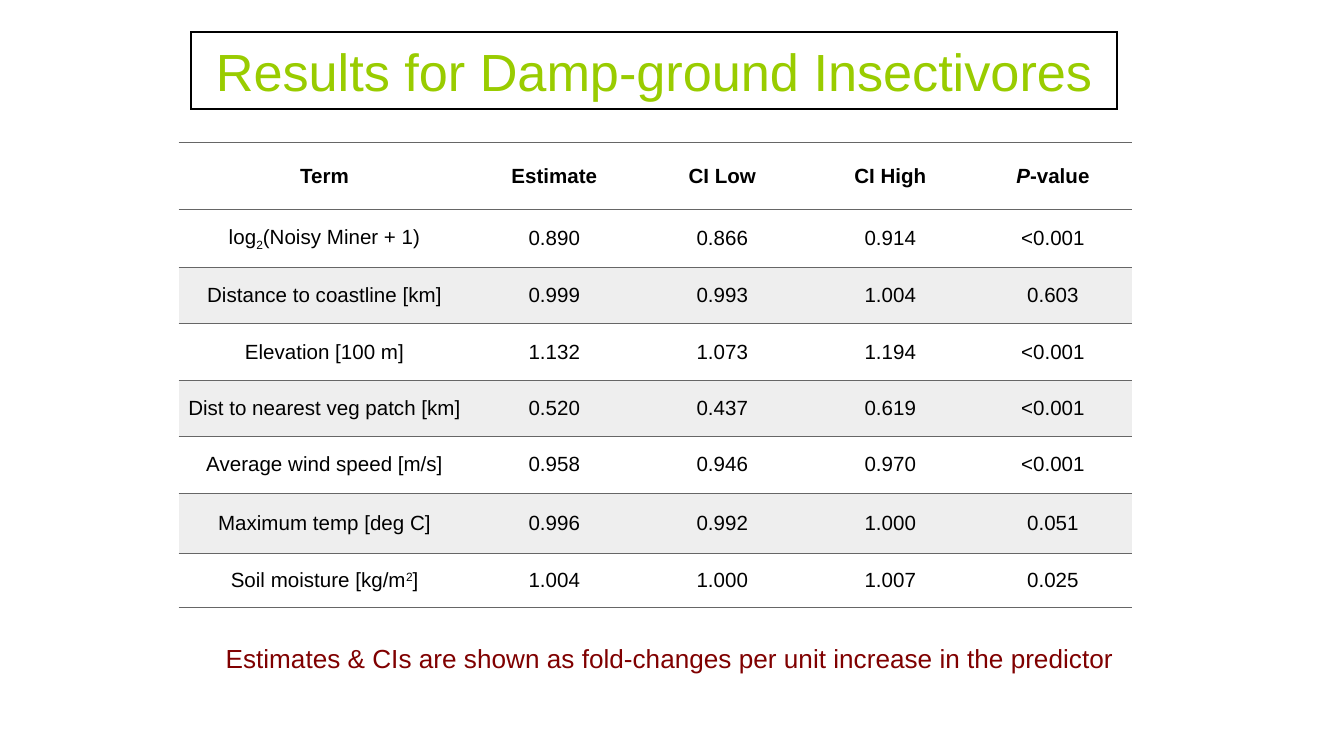
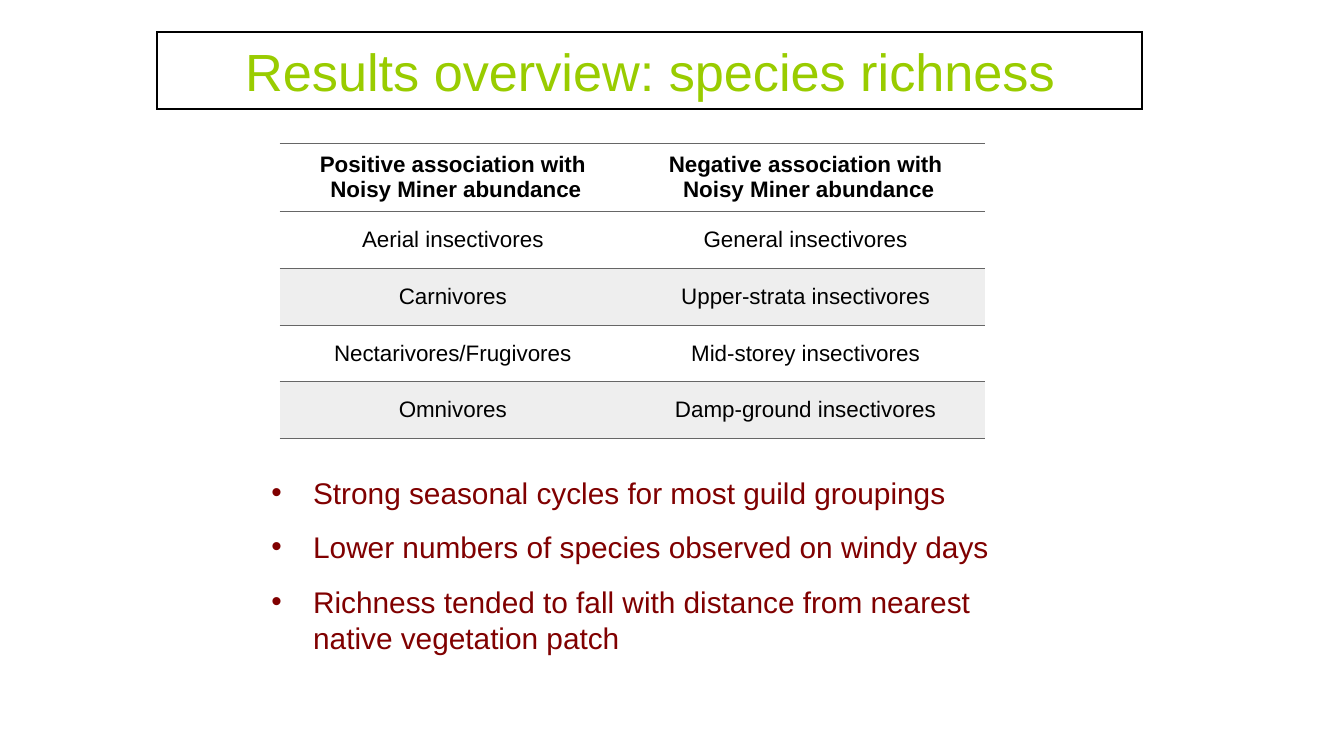
from copy import deepcopy

from lxml import etree
from pptx import Presentation
from pptx import util as u
from pptx.dml.color import RGBColor
from pptx.enum import text
from pptx.oxml.ns import qn

GREEN, MAROON, BLACK = "99CC00", "800000", "000000"
RULE, BAND = "666666", "EEEEEE"
TITLE_ONLY, TITLE_AND_CONTENT = 5, 1
SUB, SUP = -25000, 30000


def rgb(value):
    return RGBColor.from_string(value)


class Deck:
    font = "Arial"
    row_heights = (0.5, 0.43, 0.42, 0.42, 0.42, 0.42, 0.45, 0.4)

    def __init__(self):
        self.prs = Presentation()
        self.prs.slide_width = u.Inches(10)
        self.prs.slide_height = u.Inches(10) * 9 // 16

    def slide(self, layout):
        self.s = self.prs.slides.add_slide(self.prs.slide_layouts[layout])

    def place(self, sp, x, y, w, h):
        sp.left, sp.top = u.Inches(x), u.Inches(y)
        sp.width, sp.height = u.Inches(w), u.Inches(h)
        sp.text_frame.word_wrap = True
        sp.text_frame.auto_size = text.MSO_AUTO_SIZE.NONE

    def style(self, p, size, color, bold=False):
        for r in p.runs:
            r.font.name, r.font.size, r.font.bold = self.font, u.Pt(size), bold
            r.font.color.rgb = rgb(color)
        for br in p._p.findall(qn("a:br")):
            br.append(deepcopy(p.runs[0]._r.rPr))

    def title(self, title, x, w):
        sp = self.s.shapes.title
        self.place(sp, x, 0.24, w, 0.57)
        sp.line.color.rgb = rgb(BLACK)
        sp.line.width = u.Pt(1)
        ln = sp._element.spPr.find(qn("a:ln"))
        etree.SubElement(ln, qn("a:miter")).set("lim", "800000")
        tf = sp.text_frame
        tf.text = title
        tf.vertical_anchor = text.MSO_ANCHOR.MIDDLE
        p = tf.paragraphs[0]
        p.alignment = text.PP_ALIGN.CENTER
        self.style(p, 28, GREEN)

    def caption(self, caption, x, y, w, h):
        sp = self.s.shapes.add_textbox(0, 0, 0, 0)
        self.place(sp, x, y, w, h)
        sp.text_frame.text = caption
        self.style(sp.text_frame.paragraphs[0], 14, MAROON)

    def bullets(self, items, x, y, w, h):
        sp = self.s.placeholders[1]
        self.place(sp, x, y, w, h)
        tf = sp.text_frame
        tf.text = "\n".join(items)
        for p in tf.paragraphs:
            p.space_before, p.space_after = u.Pt(6), u.Pt(4)
            pPr = p._p.get_or_add_pPr()
            pPr.set("marL", str(u.Inches(0.31)))
            pPr.set("indent", str(-u.Inches(0.31)))
            etree.SubElement(pPr, qn("a:buChar")).set("char", "•")
            self.style(p, 16, MAROON)

    def table(self, rows, x, y, widths, size):
        heights = self.row_heights[:len(rows)]
        gf = self.s.shapes.add_table(
            len(rows), len(widths), u.Inches(x), u.Inches(y),
            u.Inches(sum(widths)), u.Inches(sum(heights)))
        tbl = gf.table
        tbl.first_row = tbl.horz_banding = False
        for col, w in zip(tbl.columns, widths):
            col.width = u.Inches(w)
        for i, (values, h) in enumerate(zip(rows, heights)):
            tbl.rows[i].height = u.Inches(h)
            for j, value in enumerate(values):
                banded = i > 0 and i % 2 == 0
                self.cell(tbl.cell(i, j), value, size, i == 0, banded)

    def cell(self, cell, value, size, bold, banded):
        cell.margin_left = cell.margin_right = u.Inches(0.03)
        cell.margin_top = cell.margin_bottom = u.Inches(0.03)
        cell.vertical_anchor = text.MSO_ANCHOR.MIDDLE
        p = cell.text_frame.paragraphs[0]
        p.alignment = text.PP_ALIGN.CENTER
        if isinstance(value, str):
            p.text = value
        else:
            for part, italic, baseline in value:
                r = p.add_run()
                r.text = part
                r.font.italic = italic
                if baseline:
                    r._r.get_or_add_rPr().set("baseline", str(baseline))
        self.style(p, size, BLACK, bold)
        if banded:
            cell.fill.solid()
            cell.fill.fore_color.rgb = rgb(BAND)
        else:
            cell.fill.background()
        self.borders(cell)

    def borders(self, cell):
        tcPr = cell._tc.get_or_add_tcPr()
        for k, side in enumerate("LRTB"):
            ln = etree.Element(qn("a:ln" + side))
            if side in "TB":
                ln.set("w", str(u.Pt(0.6)))
                fill = etree.SubElement(ln, qn("a:solidFill"))
                etree.SubElement(fill, qn("a:srgbClr")).set("val", RULE)
            else:
                etree.SubElement(ln, qn("a:noFill"))
            tcPr.insert(k, ln)


def main():
    d = Deck()

    d.slide(TITLE_ONLY)
    d.title("Results for Damp-ground Insectivores", 1.42, 6.89)
    p_value = [("P", True, 0), ("-value", False, 0)]
    log_miner = [("log", False, 0), ("2", False, SUB),
                 ("(Noisy Miner + 1)", False, 0)]
    soil = [("Soil moisture [kg/m", False, 0), ("2", False, SUP),
            ("]", False, 0)]
    d.table([
        ("Term", "Estimate", "CI Low", "CI High", p_value),
        (log_miner, "0.890", "0.866", "0.914", "<0.001"),
        ("Distance to coastline [km]", "0.999", "0.993", "1.004", "0.603"),
        ("Elevation [100 m]", "1.132", "1.073", "1.194", "<0.001"),
        ("Dist to nearest veg patch [km]", "0.520", "0.437", "0.619", "<0.001"),
        ("Average wind speed [m/s]", "0.958", "0.946", "0.970", "<0.001"),
        ("Maximum temp [deg C]", "0.996", "0.992", "1.000", "0.051"),
        (soil, "1.004", "1.000", "1.007", "0.025"),
    ], 1.33, 1.06, (2.17, 1.25, 1.25, 1.25, 1.17), 11)
    d.caption("Estimates & CIs are shown as fold-changes per unit increase "
              "in the predictor", 1.58, 4.73, 7.08, 0.34)

    d.slide(TITLE_AND_CONTENT)
    d.title("Results overview: species richness", 1.17, 7.33)
    d.table([
        [f"{sign} association with\n Noisy Miner abundance"
         for sign in ("Positive", "Negative")],
        ("Aerial insectivores", "General insectivores"),
        ("Carnivores", "Upper-strata insectivores"),
        ("Nectarivores/Frugivores", "Mid-storey insectivores"),
        ("Omnivores", "Damp-ground insectivores"),
    ], 2.08, 1.07, (2.58, 2.67), 12)
    d.bullets([
        "Strong seasonal cycles for most guild groupings",
        "Lower numbers of species observed on windy days",
        "Richness tended to fall with distance from nearest "
        "native vegetation patch",
    ], 1.92, 3.48, 6, 1.46)

    d.prs.save("out.pptx")


if __name__ == "__main__":
    main()
